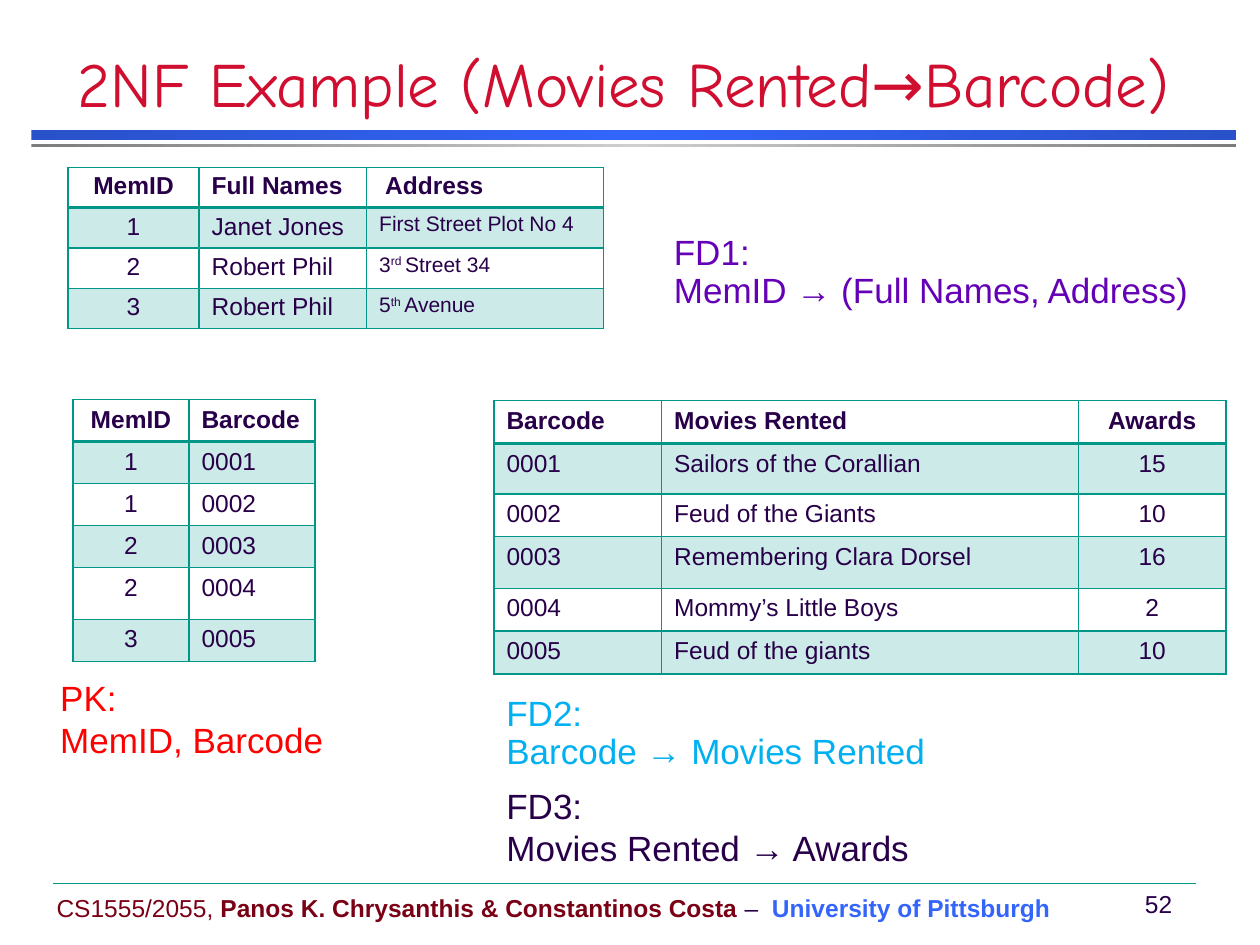
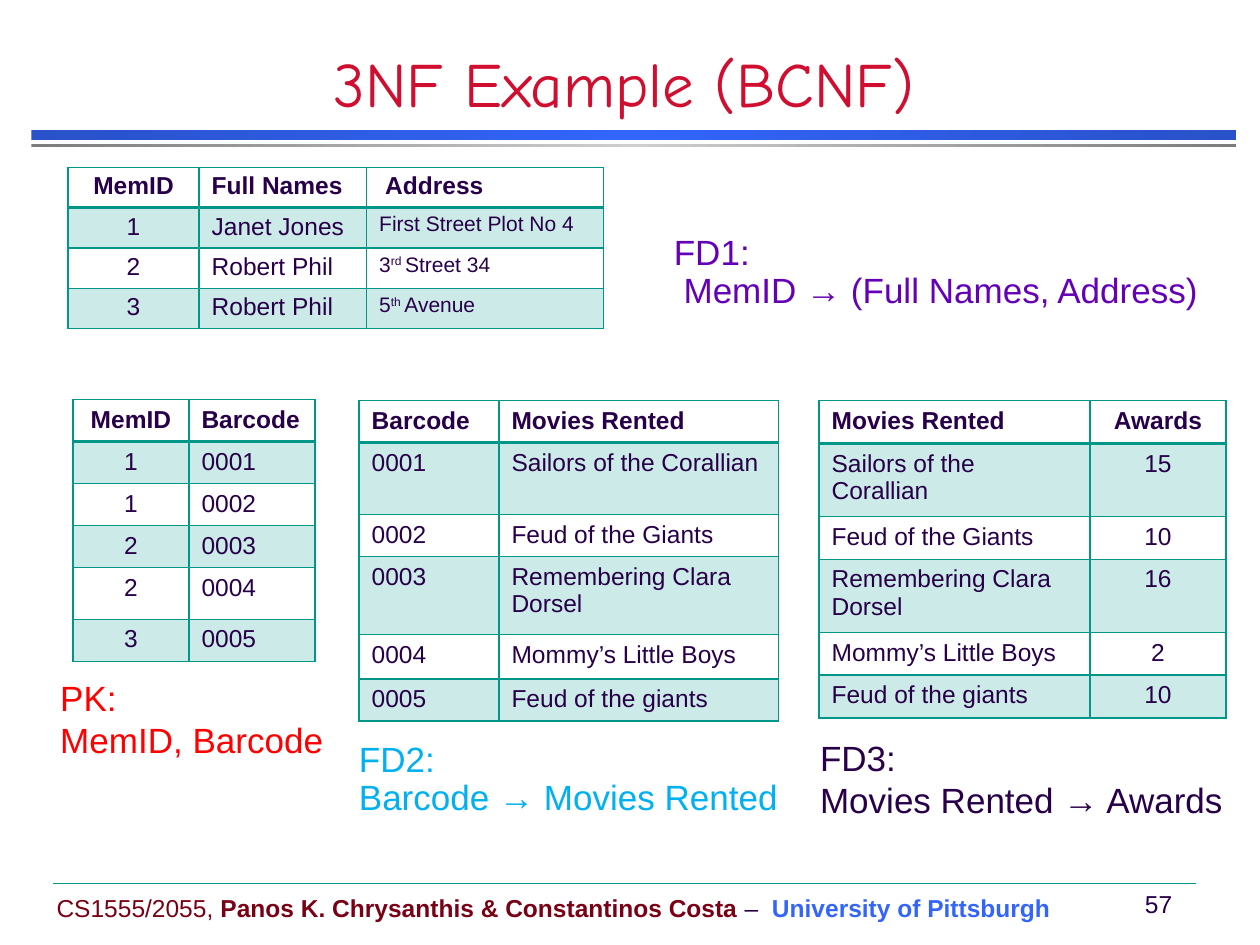
from copy import deepcopy
from dataclasses import dataclass

from lxml import etree
from pptx import Presentation
from pptx.dml.color import RGBColor
from pptx.enum.shapes import MSO_CONNECTOR, MSO_SHAPE
from pptx.enum.text import MSO_ANCHOR, MSO_AUTO_SIZE, PP_ALIGN
from pptx.oxml.ns import qn
from pptx.util import Inches, Pt


@dataclass(frozen=True)
class Theme:
    body_font: str = "Arial"
    title_font: str = "Comic Neue"
    title_size: int = 36
    note_size: int = 20
    text_size: int = 14
    small_size: int = 12
    title: str = "CF0E30"
    ink: str = "280049"
    teal: str = "009688"
    maroon: str = "790015"
    blue: str = "3365FB"
    dark_blue: str = "2951C9"
    gray: str = "7C7C7C"
    light_gray: str = "CECECE"
    purple: str = "6400B6"
    red: str = "FF0000"
    cyan: str = "00B0F0"


THEME = Theme()
CENTERED = {"MemID", "Awards"}

MEMBERS = [
    ("MemID", "Full Names", " Address"),
    ("1", "Janet Jones", "First Street Plot No 4"),
    ("2", "Robert Phil", "3^rd ^Street 34"),
    ("3", "Robert Phil", "5^th ^Avenue"),
]
RENTALS = [
    ("MemID", "Barcode"),
    ("1", "0001"),
    ("1", "0002"),
    ("2", "0003"),
    ("2", "0004"),
    ("3", "0005"),
]
MOVIES = [
    ("Barcode", "Movies Rented", "Awards"),
    ("0001", "Sailors of the Corallian", "15"),
    ("0002", "Feud of the Giants", "10"),
    ("0003", "Remembering Clara Dorsel", "16"),
    ("0004", "Mommy’s Little Boys", "2"),
    ("0005", "Feud of the giants", "10"),
]


def set_attrs(obj, values):
    for name, value in values.items():
        setattr(obj, name, value)


def style(font, color, size=THEME.text_size, bold=False, name=THEME.body_font):
    set_attrs(font, {"name": name, "size": Pt(size), "bold": bold})
    font.color.rgb = RGBColor.from_string(color)


def inches(box):
    return [Inches(v) for v in box]


def add_band(s, box, edge, middle):
    sp = s.shapes.add_shape(MSO_SHAPE.RECTANGLE, *inches(box))
    sp.shadow.inherit = False
    sp.line.fill.background()
    sp.fill.gradient()
    sp.fill.gradient_angle = 0
    stops = sp._element.spPr.find(".//" + qn("a:gsLst"))
    stops.insert(1, deepcopy(stops[0]))
    for stop, position, color in zip(sp.fill.gradient_stops, (0, 0.5, 1), (edge, middle, edge)):
        stop.position = position
        stop.color.rgb = RGBColor.from_string(color)


def add_text(s, box, runs, align=PP_ALIGN.LEFT):
    tf = s.shapes.add_textbox(*inches(box)).text_frame
    set_attrs(tf, {"word_wrap": False, "vertical_anchor": MSO_ANCHOR.MIDDLE})
    p = tf.paragraphs[0]
    p.alignment = align
    for text, color, bold in runs:
        r = p.add_run()
        r.text = text
        style(r.font, color, bold=bold)


def add_note(s, box, text, color, spacing=1.0, wrap=False):
    tf = s.shapes.add_textbox(*inches(box)).text_frame
    tf.word_wrap = wrap
    tf.text = text
    for p in tf.paragraphs:
        p.line_spacing = spacing
        for r in p.runs:
            style(r.font, color, THEME.note_size)


def add_header(s, box, text):
    left, top, width, _ = box
    add_band(s, (left + 0.25, top + 1.03, width - 0.44, 0.08), THEME.dark_blue, THEME.blue)
    add_band(s, (left + 0.25, top + 1.14, width - 0.44, 0.03), THEME.gray, THEME.light_gray)
    title = s.shapes.title
    place = inches((left, top + 0.42, width - 0.1, 0.58))
    set_attrs(title, dict(zip(("left", "top", "width", "height"), place)))
    tf = title.text_frame
    tf.text = text
    set_attrs(tf, {"vertical_anchor": MSO_ANCHOR.BOTTOM, "auto_size": MSO_AUTO_SIZE.NONE, "word_wrap": True})
    p = tf.paragraphs[0]
    p.alignment = PP_ALIGN.CENTER
    style(p.runs[0].font, THEME.title, THEME.title_size, name=THEME.title_font)


def add_footer(s, box, number):
    left, top, width, _ = box
    rule = s.shapes.add_connector(
        MSO_CONNECTOR.STRAIGHT, *inches((left + 0.42, top, left + width - 0.51, top)))
    rule.line.color.rgb = RGBColor.from_string(THEME.teal)
    rule.line.width = Pt(0.25)
    etree.SubElement(rule._element.spPr, qn("a:effectLst"))
    rule._element.find(".//" + qn("a:effectRef")).set("idx", "0")
    add_text(s, (left + 0.35, top + 0.03, 8.11, 0.33), [
        ("CS1555/2055, ", THEME.maroon, False),
        ("Panos K. Chrysanthis & Constantinos Costa", THEME.maroon, True),
        (" –  ", THEME.ink, False),
        ("University of Pittsburgh", THEME.blue, True),
    ])
    add_text(s, (left + 8.95, top, 0.49, 0.33), [(str(number), THEME.ink, False)], PP_ALIGN.CENTER)


def set_border(cell, side, width):
    ln = etree.SubElement(cell._tc.get_or_add_tcPr(), qn("a:" + side), w=str(Pt(width)))
    fill = etree.SubElement(ln, qn("a:solidFill"))
    etree.SubElement(fill, qn("a:srgbClr"), val=THEME.teal)


def fill_cell(cell, banded):
    if not banded:
        cell.fill.background()
        return
    cell.fill.solid()
    cell.fill.fore_color.rgb = RGBColor.from_string(THEME.teal)
    fill = cell._tc.tcPr.find(qn("a:solidFill"))
    etree.SubElement(fill[0], qn("a:alpha"), val="20000")


def write_cell(cell, text, header, is_header):
    p = cell.text_frame.paragraphs[0]
    p.alignment = PP_ALIGN.CENTER if header in CENTERED else PP_ALIGN.LEFT
    small = header.strip() == "Address" and not is_header
    size = THEME.small_size if small else THEME.text_size
    for i, part in enumerate(text.split("^")):
        r = p.add_run()
        r.text = part
        style(r.font, THEME.ink, size, is_header)
        if i % 2:
            r.font._element.set("baseline", "30000")


def add_grid(s, origin, rows, widths, heights, margin=0.05):
    size = (sum(widths), sum(heights))
    frame = s.shapes.add_table(len(rows), len(widths), *inches(origin + size))
    table = frame.table
    set_attrs(table, {"first_row": False, "horz_banding": False})
    for column, width in zip(table.columns, widths):
        column.width = Inches(width)
    for i, (values, height) in enumerate(zip(rows, heights)):
        table.rows[i].height = Inches(height)
        for j, value in enumerate(values):
            cell = table.cell(i, j)
            set_attrs(cell, {"margin_top": Inches(margin), "margin_bottom": Inches(margin)})
            borders = {"lnL": 1, "lnR": 1, "lnT": 2 if i == 1 else 1, "lnB": 2 if i == 0 else 1}
            for side, width in borders.items():
                set_border(cell, side, width)
            fill_cell(cell, i % 2 == 1)
            write_cell(cell, value, rows[0][j], i == 0)


def add_members(s, box, indent=""):
    left, top = box
    add_grid(s, box, MEMBERS, (1.04, 1.33, 1.88), (0.32,) * 4, 0.04)
    add_note(s, (left + 4.71, top + 0.49, 4.67, 0.71),
             f"FD1:\v{indent}MemID → (Full Names, Address)", THEME.purple, 0.9, True)


def add_rentals(s, box):
    left, top = box
    add_grid(s, box, RENTALS, (0.92, 1), (0.33, 0.33, 0.33, 0.33, 0.41, 0.33))
    add_note(s, (left - 0.2, top + 2.15, 2.3, 0.77), "PK:\nMemID, Barcode", THEME.red)


def add_movie_note(s, origin):
    add_note(s, origin + (3.58, 0.71), "FD2:\nBarcode → Movies Rented", THEME.cyan, 0.9, True)


def add_award_note(s, origin):
    add_note(s, origin + (3.42, 0.77), "FD3:\vMovies Rented → Awards", THEME.ink)


def add_movies_with_awards(s, box):
    left, top = box
    add_grid(s, box, MOVIES, (1.33, 3.31, 1.17), (0.34, 0.4, 0.34, 0.41, 0.34, 0.34))
    add_movie_note(s, (left, top + 2.3))
    add_award_note(s, (left, top + 3))


def add_movies(s, box):
    left, top = box
    add_grid(s, box, [row[:2] for row in MOVIES], (1.11, 2.22), (0.33, 0.57, 0.33, 0.62, 0.35, 0.33))
    add_movie_note(s, (left - 0.1, top + 2.66))


def add_awards(s, box):
    left, top = box
    add_grid(s, box, [row[1:] for row in MOVIES], (2.15, 1.08), (0.34, 0.58, 0.34, 0.58, 0.34, 0.34))
    add_award_note(s, (left - 0.09, top + 2.62))


def add_base_slide(prs, title, number, indent=""):
    s = prs.slides.add_slide(prs.slide_layouts[5])
    add_header(s, (0, 0, 10, 1.2), title)
    add_footer(s, (0, 7.01, 10, 0.49), number)
    add_members(s, (0.54, 1.33), indent)
    add_rentals(s, (0.58, 3.17))
    return s


def main():
    prs = Presentation()
    set_attrs(prs, {"slide_width": Inches(10), "slide_height": Inches(7.5)})

    s = add_base_slide(prs, "2NF Example (Movies Rented→Barcode)", 52)
    add_movies_with_awards(s, (3.92, 3.18))

    s = add_base_slide(prs, "3NF Example (BCNF)", 57, " ")
    add_movies(s, (2.85, 3.18))
    add_awards(s, (6.5, 3.18))

    prs.save("out.pptx")


if __name__ == "__main__":
    main()
